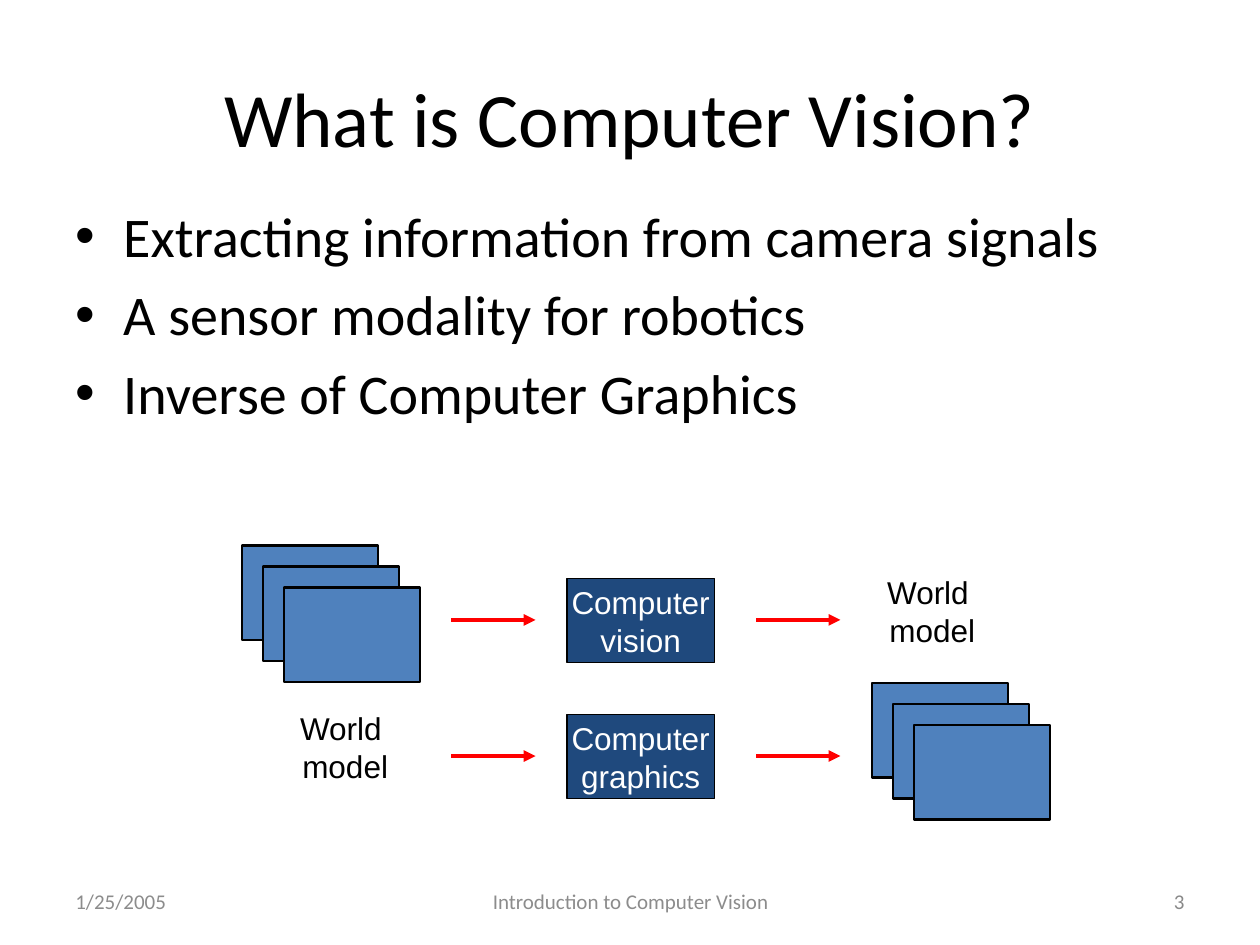
from lxml.etree import SubElement
from pptx import Presentation
from pptx.dml.color import RGBColor
from pptx.enum.shapes import MSO_CONNECTOR, MSO_SHAPE
from pptx.enum.text import MSO_ANCHOR, PP_ALIGN
from pptx.oxml.ns import qn
from pptx.util import Inches, Pt

COLORS = {
    "text": "000000",
    "footer": "8C8C8C",
    "page": "898989",
    "image": "4F81BD",
    "process": "1F497D",
    "process_text": "FFFFFF",
    "outline": "000000",
    "arrow": "FF0000",
}
BULLETS = [
    "Extracting information from camera signals",
    "A sensor modality for robotics",
    "Inverse of Computer Graphics",
]
FOOTERS = [
    (0.5, 2.33, "1/25/2005", PP_ALIGN.LEFT, "footer"),
    (3.42, 3.17, "Introduction to Computer Vision", PP_ALIGN.CENTER, "footer"),
    (7.17, 2.33, "3", PP_ALIGN.RIGHT, "page"),
]
WORLD_MODEL = "World \nmodel"
STACK_STEP = 1 / 6


def rgb(name):
    return RGBColor.from_string(COLORS[name])


def write_text(shape, text, size, font, color, align, anchor, wrap=True):
    text_frame = shape.text_frame
    text_frame.text = text
    text_frame.word_wrap = wrap
    text_frame.vertical_anchor = anchor
    for paragraph in text_frame.paragraphs:
        paragraph.alignment = align
        for run in paragraph.runs:
            run.font.size = Pt(size)
            run.font.name = font
            run.font.color.rgb = rgb(color)


def add_text_box(slide, left, top, width, height):
    return slide.shapes.add_textbox(
        Inches(left), Inches(top), Inches(width), Inches(height)
    )


def add_title(slide, text):
    title = slide.shapes.title
    title.left, title.top = Inches(0.5), Inches(0.3)
    title.width, title.height = Inches(9), Inches(1.25)
    write_text(title, text, 44, "Calibri", "text", PP_ALIGN.CENTER, MSO_ANCHOR.MIDDLE)


def add_bullets(slide, items):
    box = add_text_box(slide, 0.5, 1.55, 9, 4.95)
    write_text(box, "\n".join(items), 32, "Calibri", "text",
               PP_ALIGN.LEFT, MSO_ANCHOR.TOP)
    for index, paragraph in enumerate(box.text_frame.paragraphs):
        if index:
            paragraph.space_before = Pt(6.4)
        properties = paragraph._p.get_or_add_pPr()
        properties.set("marL", str(Inches(0.38)))
        properties.set("indent", str(Inches(-0.38)))
        SubElement(properties, qn("a:buFont"), typeface="Arial")
        SubElement(properties, qn("a:buChar"), char="•")


def add_rectangle(slide, left, top, width, height, fill, line_width):
    shape = slide.shapes.add_shape(
        MSO_SHAPE.RECTANGLE, Inches(left), Inches(top), Inches(width), Inches(height)
    )
    shape.shadow.inherit = False
    shape.fill.solid()
    shape.fill.fore_color.rgb = rgb(fill)
    shape.line.color.rgb = rgb("outline")
    shape.line.width = Pt(line_width)
    return shape


def add_image_stack(slide, left, top):
    """Three overlapping frames, each one step right of and below the last."""
    for index in range(3):
        offset = index * STACK_STEP
        add_rectangle(slide, left + offset, top + offset, 1.08, 0.75, "image", 1.5)


def add_process(slide, center, text):
    shape = add_rectangle(slide, 4.5, center - 0.33, 1.17, 0.67, "process", 0.75)
    write_text(shape, text, 18, "Arial", "process_text",
               PP_ALIGN.CENTER, MSO_ANCHOR.MIDDLE, wrap=False)


def add_world_model(slide, left, center):
    box = add_text_box(slide, left, center - 0.42, 1.14, 0.9)
    write_text(box, WORLD_MODEL, 18, "Arial", "text",
               PP_ALIGN.CENTER, MSO_ANCHOR.TOP, wrap=False)


def add_arrow(slide, left, center):
    arrow = slide.shapes.add_connector(
        MSO_CONNECTOR.STRAIGHT,
        Inches(left), Inches(center), Inches(left + 0.67), Inches(center),
    )
    arrow.line.color.rgb = rgb("arrow")
    arrow.line.width = Pt(2.25)
    SubElement(arrow.line._get_or_add_ln(), qn("a:tailEnd"), type="triangle")
    SubElement(arrow._element.spPr, qn("a:effectLst"))


def add_flow(slide, center, process):
    for left in (3.58, 6):
        add_arrow(slide, left, center)
    add_process(slide, center, process)


def add_footers(slide):
    for left, width, text, align, color in FOOTERS:
        box = add_text_box(slide, left, 6.95, width, 0.4)
        write_text(box, text, 12, "Calibri", color, align, MSO_ANCHOR.MIDDLE)


def main():
    presentation = Presentation()
    presentation.slide_width, presentation.slide_height = Inches(10), Inches(7.5)
    slide = presentation.slides.add_slide(presentation.slide_layouts[5])
    add_footers(slide)
    add_title(slide, "What is Computer Vision?")
    add_bullets(slide, BULLETS)

    vision_center, graphics_center = 4.92, 6
    add_image_stack(slide, 1.92, 4.33)
    add_flow(slide, vision_center, "Computer\nvision")
    add_world_model(slide, 6.83, vision_center)
    add_world_model(slide, 2.17, graphics_center)
    add_flow(slide, graphics_center, "Computer\ngraphics")
    add_image_stack(slide, 6.92, 5.42)
    presentation.save("out.pptx")


if __name__ == "__main__":
    main()
